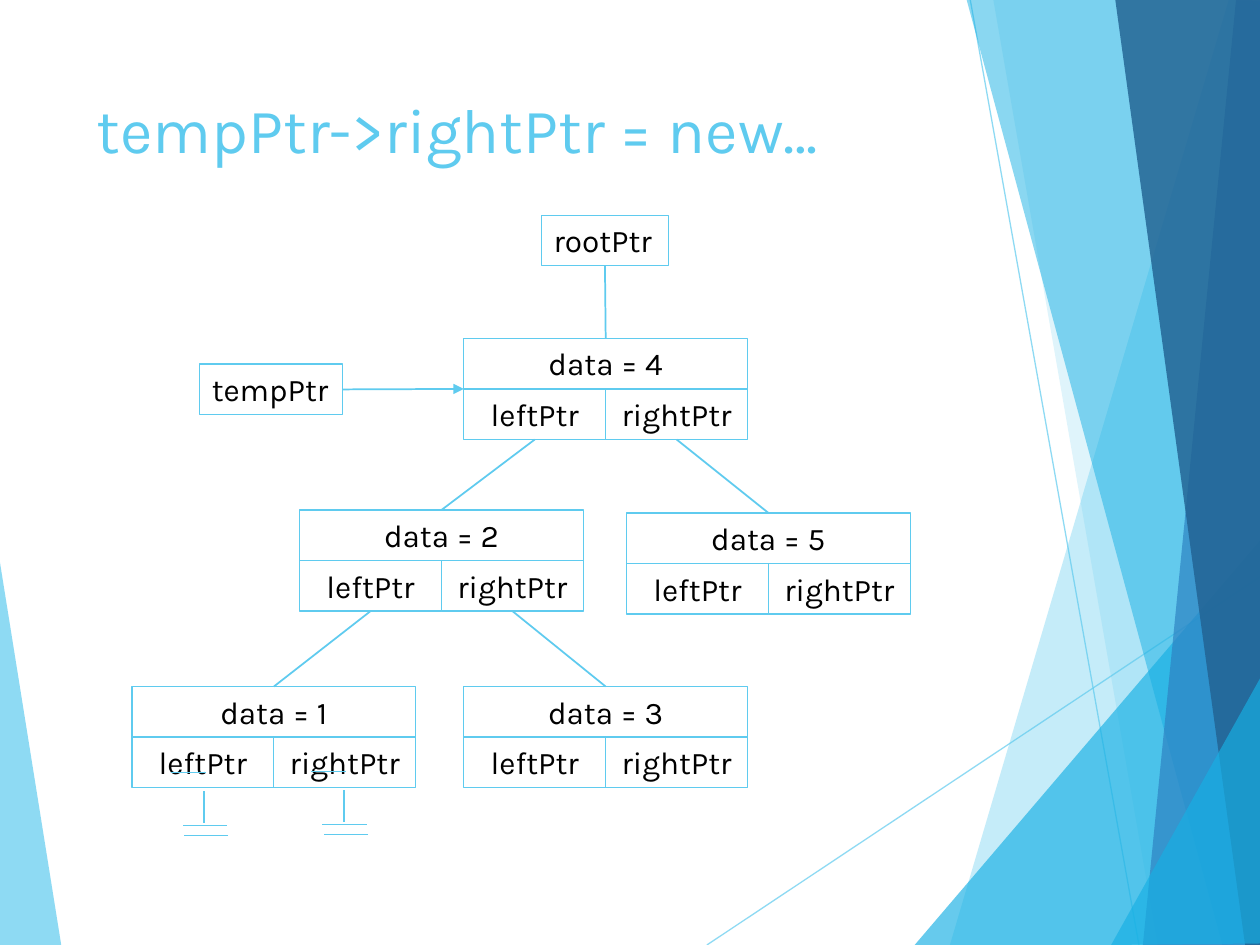
from pptx import Presentation
from pptx.dml.color import RGBColor
from pptx.enum.shapes import MSO_CONNECTOR as Connector
from pptx.enum.text import MSO_ANCHOR as Anchor, MSO_AUTO_SIZE as AutoSize, PP_ALIGN as Align
from pptx.oxml.ns import qn
from pptx.util import Cm, Pt
from lxml.etree import SubElement

COLORS = {
    "sky": "5FCBEF",
    "cyan": "17B0E4",
    "blue": "2E83C3",
    "navy": "226292",
    "text": "000000",
}
FONT = "Karla"
ROW_HEIGHT = 1.02
HALF_WIDTH = 2.86
TOP, LEFT, BOTTOM, RIGHT = range(4)

RIBBONS = [
    ("sky", 70, [(-0.03, 11.15), (1.24, 19.08), (-0.03, 19.05)]),
    ("sky", 36, [(24.77, 0), (19.15, 19.05), (25.45, 19.08), (25.43, 0.03)]),
    ("sky", 20, [(20.02, -0.03), (23.34, 19.05), (25.43, 19.05), (25.43, -0.03)]),
    ("cyan", 66, [(18.44, 19.05), (25.4, 10.9), (25.43, 19.05)]),
    ("cyan", 50, [(19.48, -0.03), (24.64, 19.05), (25.43, 19.02), (25.43, -0.03)]),
    ("blue", 70, [(24.92, -0.03), (23.04, 19.05), (25.43, 19.05), (25.4, -0.03)]),
    ("navy", 82, [(22.48, -0.03), (25.1, 19.05), (25.45, 19.05), (25.4, -0.03)]),
    ("cyan", 66, [(22.4, 19.05), (25.45, 13.59), (25.45, 19.02)]),
]
RIBBON_LINES = [(14.25, 19.05, 25.43, 11.61), (19.56, 0, 22.96, 19.05)]
NODES = {
    4: (9.35, 6.82),
    2: (6.04, 10.28),
    1: (2.66, 13.84),
    3: (9.35, 13.84),
    5: (12.63, 10.34),
}
BRANCHES = [(4, "left", 2), (4, "right", 5), (2, "left", 1), (2, "right", 3)]
NULL_STROKES = [
    (0, 0, 0.71, 0),
    (1.12, 1.07, 0.23, 1.07),
    (1.15, 1.27, 0.26, 1.27),
    (0.66, 0.38, 0.66, 1.02),
]
NULL_ORIGINS = [(3.45, 15.57), (6.27, 15.55)]


def color(key):
    return RGBColor.from_string(COLORS[key])


def set_opacity(color_parent, percent):
    srgb = next(color_parent.iter(qn("a:srgbClr")))
    SubElement(srgb, qn("a:alpha"), val=str(percent * 1000))


def format_text(frame, size, key, align):
    frame.auto_size = AutoSize.NONE
    frame.vertical_anchor = Anchor.TOP
    paragraph = frame.paragraphs[0]
    paragraph.alignment = align
    font = paragraph.runs[0].font
    font.name, font.size, font.color.rgb = FONT, Pt(size), color(key)


def add_ribbon(shapes, key, opacity, points):
    corners = [(Cm(x), Cm(y)) for x, y in points]
    builder = shapes.build_freeform(*corners[0], scale=1.0)
    builder.add_line_segments(corners[1:], close=True)
    ribbon = builder.convert_to_shape()
    ribbon.shadow.inherit = False
    ribbon.fill.solid()
    ribbon.fill.fore_color.rgb = color(key)
    set_opacity(ribbon.fill._xPr.find(qn("a:solidFill")), opacity)
    ribbon.line.fill.background()


def add_line(shapes, x1=0, y1=0, x2=0, y2=0, width=1):
    line = shapes.add_connector(Connector.STRAIGHT, Cm(x1), Cm(y1), Cm(x2), Cm(y2))
    line.line.color.rgb = color("sky")
    line.line.width = Pt(width)
    SubElement(line._element.spPr, qn("a:effectLst"))
    return line


def add_box(shapes, label, left, top, width, align=Align.CENTER, wrap=True):
    box = shapes.add_textbox(Cm(left), Cm(top), Cm(width), Cm(ROW_HEIGHT))
    box.line.color.rgb = color("sky")
    box.line.width = Pt(0.75)
    box.text_frame.text = label
    box.text_frame.word_wrap = wrap
    format_text(box.text_frame, 18, "text", align)
    return box


def add_node(shapes, value, left, top):
    cells = shapes.add_group_shape().shapes
    pointer_top = top + ROW_HEIGHT
    return {
        "left": add_box(cells, "leftPtr", left, pointer_top, HALF_WIDTH),
        "right": add_box(cells, "rightPtr", left + HALF_WIDTH, pointer_top, HALF_WIDTH),
        "data": add_box(cells, f"data = {value}", left, top, 2 * HALF_WIDTH),
    }


def add_link(shapes, parent, child):
    link = add_line(shapes)
    link.begin_connect(parent, BOTTOM)
    link.end_connect(child, TOP)


def add_temp_arrow(shapes, temp_pointer, node_left, node_top):
    arrow = add_line(shapes, x2=node_left, y2=node_top + ROW_HEIGHT)
    arrow.begin_connect(temp_pointer, RIGHT)
    SubElement(arrow.line._get_or_add_ln(), qn("a:tailEnd"), type="triangle", w="med", len="med")


def add_null_symbol(shapes, left, top):
    strokes = shapes.add_group_shape().shapes
    for x1, y1, x2, y2 in NULL_STROKES:
        add_line(strokes, left + x1, top + y1, left + x2, top + y2)


def add_background(shapes):
    left_ribbon, *right_ribbons = RIBBONS
    add_ribbon(shapes, *left_ribbon)
    for ends in RIBBON_LINES:
        line = add_line(shapes, *ends, width=0.75)
        set_opacity(line.line._get_or_add_ln(), 70)
    for ribbon in right_ribbons:
        add_ribbon(shapes, *ribbon)


def set_title(title, text):
    title.left, title.top, title.width, title.height = Cm(1.7), Cm(1.7), Cm(17.63), Cm(3.66)
    title.text_frame.text = text
    format_text(title.text_frame, 36, "sky", Align.LEFT)


def add_tree(shapes):
    root_pointer = add_box(shapes, "rootPtr", 10.91, 4.34, 2.57, Align.LEFT, wrap=False)
    temp_pointer = add_box(shapes, "tempPtr", 4.02, 7.34, 2.88, Align.LEFT, wrap=False)
    nodes = {value: add_node(shapes, value, *place) for value, place in NODES.items()}
    add_link(shapes, root_pointer, nodes[4]["data"])
    add_temp_arrow(shapes, temp_pointer, *NODES[4])
    for parent, side, child in BRANCHES:
        add_link(shapes, nodes[parent][side], nodes[child]["data"])
    for origin in NULL_ORIGINS:
        add_null_symbol(shapes, *origin)


def main():
    deck = Presentation()
    deck.slide_width, deck.slide_height = Cm(25.4), Cm(19.05)
    slide = deck.slides.add_slide(deck.slide_layouts[5])
    add_background(slide.shapes)
    set_title(slide.shapes.title, "tempPtr->rightPtr = new…")
    add_tree(slide.shapes)
    deck.save("out.pptx")


if __name__ == "__main__":
    main()
